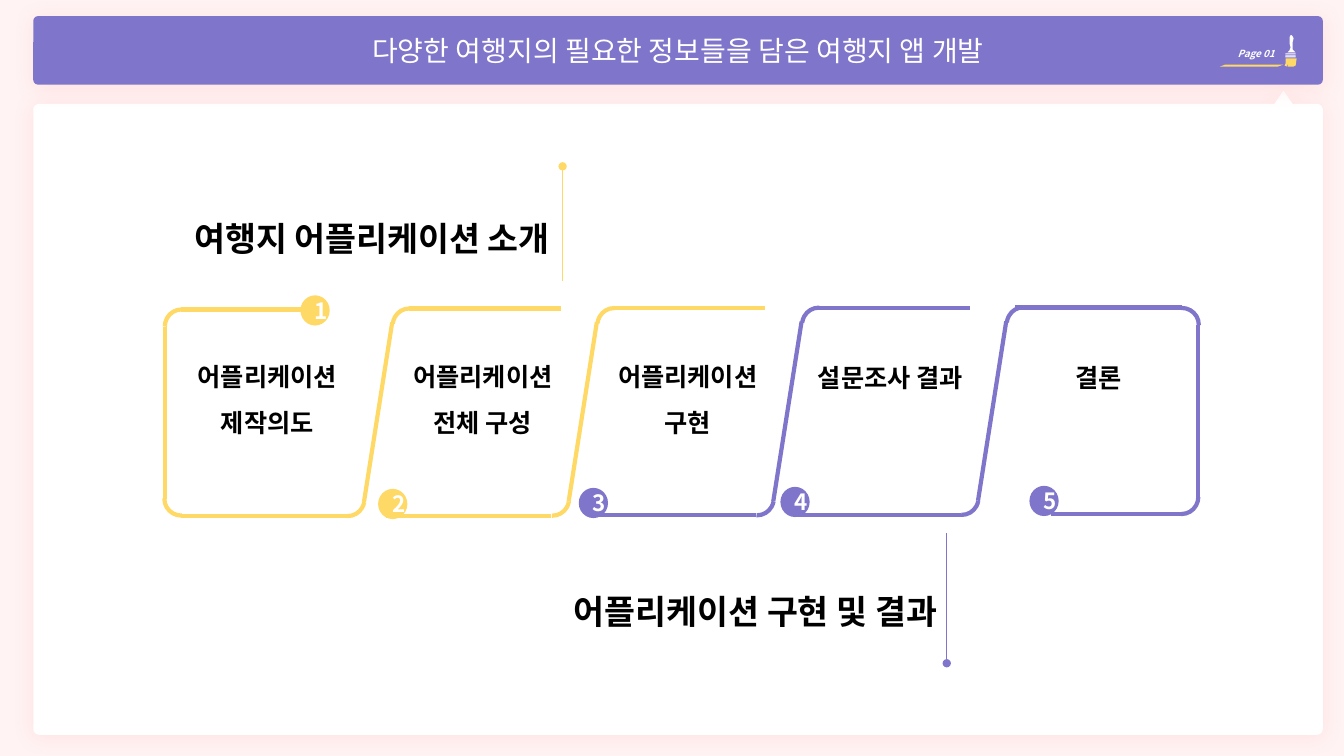
from math import cos, pi, sin

from lxml.etree import SubElement
from pptx import Presentation
from pptx.dml.color import RGBColor
from pptx.enum.shapes import MSO_CONNECTOR, MSO_SHAPE
from pptx.enum.text import MSO_ANCHOR, MSO_AUTO_SIZE, PP_ALIGN
from pptx.oxml import parse_xml
from pptx.oxml.ns import qn
from pptx.util import Inches, Pt

HUE = {"page": "FFF3F3", "white": "FFFFFF", "black": "000000",
       "violet": "7F75CB", "yellow": "FFD966", "glow": "FF7C80"}
FONT = "Noto Sans CJK KR"
NS = "http://schemas.openxmlformats.org/drawingml/2006/main"
PITCH = 2.03
STEPS = [
    ("어플리케이션\n제작의도", "yellow", 2.65, 1.92, 2.98, 2.93),
    ("어플리케이션\n전체 구성", "yellow", 4.79, 1.86, 3.75, 4.85),
    ("어플리케이션\n구현", "violet", 6.82, 1.86, 5.74, 4.84),
    ("설문조사 결과", "violet", 8.83, 1.86, 7.74, 4.83),
    ("결론", "violet", 10.9, 1.86, 10.21, 4.82),
]


def tint(hue):
    """Return the named colour."""
    return RGBColor.from_string(HUE[hue])


def paint(shape, hue):
    """Give a shape a flat fill with no outline or shadow."""
    shape.shadow.inherit = False
    shape.fill.solid()
    shape.fill.fore_color.rgb = tint(hue)
    shape.line.fill.background()
    return shape


def glow(shape):
    """Cast a soft coloured shadow under a shape."""
    props = shape._element.spPr
    props.remove(props.find(qn("a:effectLst")))
    props.append(parse_xml(
        f'<a:effectLst xmlns:a="{NS}"><a:outerShdw blurRad="{Pt(15)}" '
        f'dist="{Pt(2)}" dir="5400000" algn="t" rotWithShape="0">'
        f'<a:srgbClr val="{HUE["glow"]}"><a:alpha val="15000"/></a:srgbClr>'
        '</a:outerShdw></a:effectLst>'))


def block(pen, kind, box, hue):
    """Add a filled preset shape."""
    return paint(pen.add_shape(kind, *map(Inches, box)), hue)


def outline(pen, points, hue):
    """Add a filled closed shape through the points."""
    spots = [(Inches(x), Inches(y)) for x, y in points]
    build = pen.build_freeform(*spots[0])
    build.add_line_segments(spots[1:], close=True)
    return paint(build.convert_to_shape(), hue)


def stroke(pen, start, end, hue, width=3, dot=False):
    """Draw a straight line, with a dot at its end if asked."""
    line = pen.add_connector(MSO_CONNECTOR.STRAIGHT,
                             *map(Inches, (*start, *end)))
    line.line.color.rgb = tint(hue)
    line.line.width = Pt(width)
    if dot:
        SubElement(line.line._get_or_add_ln(), qn("a:tailEnd"), type="oval")
    SubElement(line._element.spPr, qn("a:effectLst"))


def bend(pen, x, y, turn, hue, start=162, end=1.17):
    """Draw a rounded corner about a centre."""
    arc = pen.add_shape(MSO_SHAPE.ARC, Inches(x - 0.17), Inches(y - 0.165),
                        Inches(0.34), Inches(0.33))
    arc.adjustments[0], arc.adjustments[1] = start, end
    arc.rotation = turn
    arc.shadow.inherit = False
    arc.fill.background()
    arc.line.color.rgb = tint(hue)
    arc.line.width = Pt(3)


def write(shape, text, size, hue, align=PP_ALIGN.CENTER, bold=True,
          slant=None, space=None):
    """Set and format the text of a shape."""
    frame = shape.text_frame
    frame.text = text
    frame.word_wrap = True
    for para in frame.paragraphs:
        para.alignment = align
        para.line_spacing = space
        for run in para.runs:
            font = run.font
            font.name, font.size = FONT, Pt(size)
            font.bold, font.italic = bold, slant
            font.color.rgb = tint(hue)
            SubElement(font._element, qn("a:ea"), typeface=FONT)


def label(pen, box, text, size, hue="black", **style):
    """Add a text box that grows with its text."""
    shape = pen.add_textbox(*map(Inches, box))
    write(shape, text, size, hue, **style)
    shape.text_frame.auto_size = MSO_AUTO_SIZE.SHAPE_TO_FIT_TEXT


def panel(pen, left, top, width, height):
    """Draw the white sheet with its pointer at the upper right."""
    right, base, r = left + width, top + height, 0.06
    roof = top + 0.13
    points = [(right - 0.39, top), (right - 0.3, roof)]
    corners = [(right - r, roof + r, -90), (right - r, base - r, 0),
               (left + r, base - r, 90), (left + r, roof + r, 180)]
    for x, y, turn in corners:
        for step in range(0, 91, 15):
            angle = (turn + step) * pi / 180
            points.append((x + r * cos(angle), y + r * sin(angle)))
    points.append((right - 0.48, roof))
    glow(outline(pen, points, "white"))


def brush(pen, left, top):
    """Draw the small paint brush and its stroke."""
    grip = [(3, 17), (11, 17), (8, 14), (8, 7), (9, 3), (8, 1), (7, 0),
            (6, 0), (5, 2), (5, 8), (6, 12), (5, 15)]
    tip = [(0, 30), (2, 31), (3, 28), (3, 31), (9, 31), (11, 30),
           (12, 23), (1, 23), (1, 28)]
    for points, hue in ((grip, "white"), (tip, "yellow")):
        outline(pen, [(left + x / 100, top + y / 100) for x, y in points], hue)
    for drop in (0.18, 0.2, 0.21):
        block(pen, MSO_SHAPE.RECTANGLE, (left + 0.01, top + drop, 0.1, 0.01),
              "white")
    sweep = block(pen, MSO_SHAPE.PARALLELOGRAM,
                  (left - 0.64, top + 0.29, 0.63, 0.02), "yellow")
    sweep.adjustments[0] = 2.73


def header(pen, left, top, width, height):
    """Draw the title bar with the page mark."""
    bar = block(pen, MSO_SHAPE.ROUNDED_RECTANGLE,
                (left, top, width, height), "violet")
    bar.adjustments[0] = 0.07
    glow(bar)
    write(bar, "다양한 여행지의 필요한 정보들을 담은 여행지 앱 개발", 20,
          "white", bold=None)
    bar.text_frame.vertical_anchor = MSO_ANCHOR.MIDDLE
    brush(pen, left + 12.41, top + 0.19)
    label(pen, (left + 11.55, top + 0.26, 0.86, 0.22), "Page 01", 7, "white",
          align=PP_ALIGN.RIGHT, slant=True)


def cap(pen, x, y, way, hue):
    """Draw an end of the chain from its corner; way -1 turns it round."""
    def spot(across, down):
        return x + way * across, y + way * down

    turn = 180 if way < 0 else 0
    bend(pen, *spot(0.16, 0.17), 270 - turn, hue)
    bend(pen, *spot(0.16, 1.88), 180 - turn, hue, end=0.95)
    stroke(pen, spot(0.16, 0), spot(1.46, 0), hue)
    stroke(pen, spot(0, 0.17), spot(0, 1.88), hue)
    stroke(pen, spot(0.16, 2.05), spot(1.81, 2.05), hue)


def link(pen, foot, top, hue, first, last):
    """Draw the slanted border between two steps."""
    base = top + 2.06
    if not first:
        stroke(pen, (foot - 1.81, base), (foot - 0.17, base), hue)
    bend(pen, foot - 0.16, base - 0.17, 90, hue, 168.61, 1.46)
    stroke(pen, (foot, base - 0.14), (foot + 0.28, top + 0.14), hue)
    bend(pen, foot + 0.45, top + 0.17, 270, hue, 166.35, 1.26)
    if not last:
        stroke(pen, (foot + 0.45, top), (foot + 1.95, top), hue)


def chain(pen, left, top, width):
    """Draw the five joined steps with labels and numbers."""
    cap(pen, left, top + 0.02, 1, "yellow")
    hues = ("yellow", "yellow", "violet", "violet")
    for i, hue in enumerate(hues):
        link(pen, left + 1.97 + PITCH * i, top + 0.01 - i * 0.004, hue,
             i == 0, i == 3)
    cap(pen, left + width, top + 2.05, -1, "violet")
    for i, (text, hue, mid, wide, x, y) in enumerate(STEPS, 1):
        tall = 0.97 if "\n" in text else 0.52
        label(pen, (mid - wide / 2, top + 0.34, wide, tall), text, 18,
              space=1.5)
        ball = block(pen, MSO_SHAPE.OVAL, (x, y, 0.29, 0.3), hue)
        write(ball, str(i), 16, "white")
        ball.text_frame.vertical_anchor = MSO_ANCHOR.MIDDLE


def part(pen, box, text, hue, x, start, end):
    """Add a part heading with its dotted pin."""
    stroke(pen, (x, start), (x, end), hue, 0.5, True)
    label(pen, box, text, 24, align=PP_ALIGN.RIGHT, space=1.5)


def main():
    """Build the slide and save it."""
    deck = Presentation()
    deck.slide_width, deck.slide_height = Inches(13.33), Inches(7.5)
    slide = deck.slides.add_slide(deck.slide_layouts[6])
    slide.background.fill.solid()
    slide.background.fill.fore_color.rgb = tint("page")
    pen = slide.shapes
    panel(pen, 0.33, 0.9, 12.79, 6.39)
    header(pen, 0.33, 0.16, 12.79, 0.68)
    chain(pen, 1.64, 3.05, 10.24)
    part(pen, (5.17, 5.61, 4.22, 0.65), "어플리케이션 구현 및 결과", "violet",
         9.39, 5.29, 6.58)
    part(pen, (1.21, 1.91, 4.34, 0.65), "여행지 어플리케이션 소개", "yellow",
         5.58, 2.79, 1.65)
    deck.save("out.pptx")


if __name__ == "__main__":
    main()
